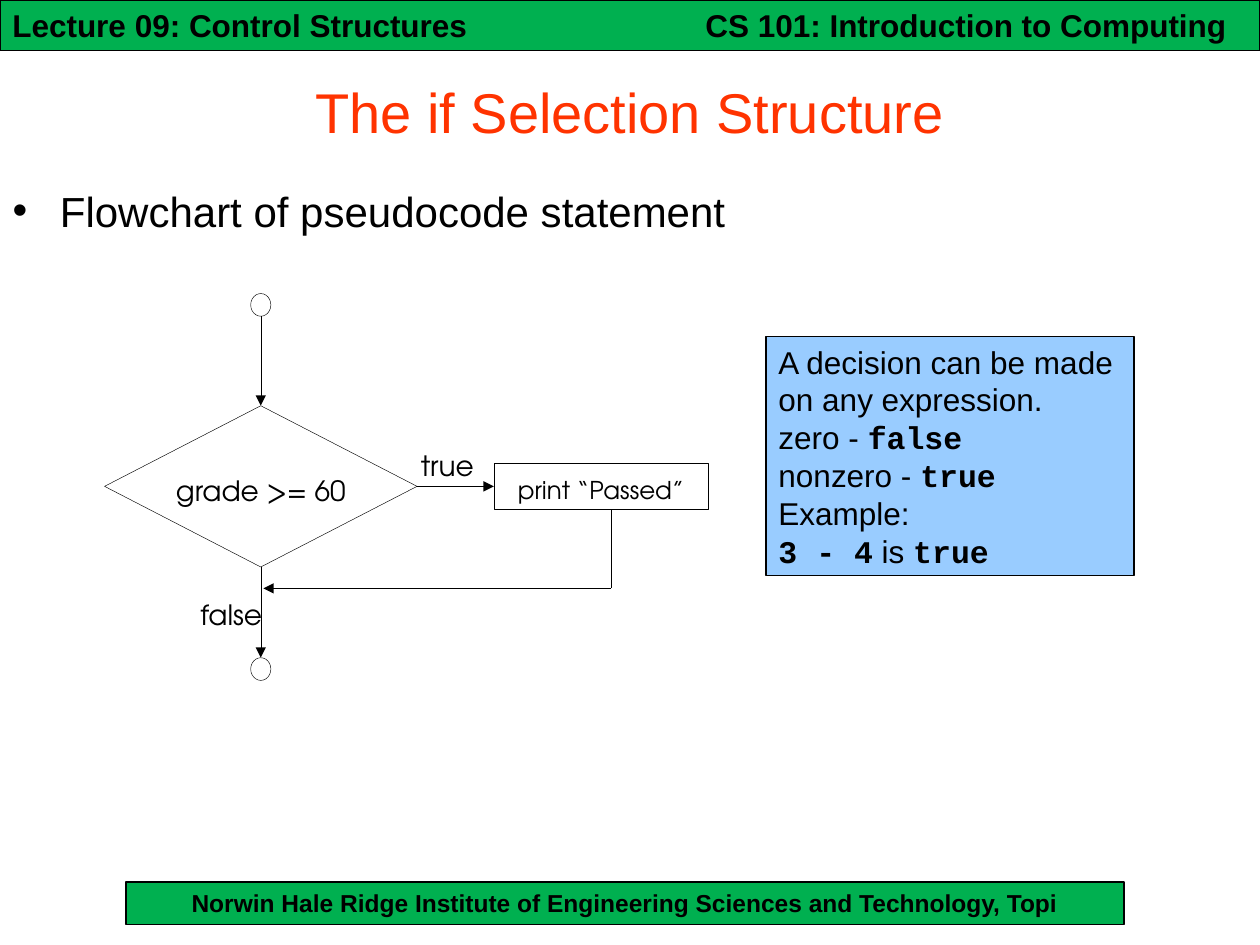
from dataclasses import dataclass

from lxml import etree
from pptx import Presentation
from pptx import util as u
from pptx.dml.color import RGBColor
from pptx.enum import shapes, text
from pptx.oxml import ns

Inches, Pt = u.Inches, u.Pt
PP, MSO = text.PP_ALIGN, text.MSO_ANCHOR
SHAPE = shapes.MSO_SHAPE


@dataclass(frozen=True)
class Theme:
    ink: str = "000000"
    bar: str = "00B050"
    title: str = "FF3300"
    note: str = "99CCFF"
    paper: str = "FFFFFF"
    font: str = "Arial"
    code: str = "Courier New"
    flow: str = "TeX Gyre Adventor"
    title_size: int = 32
    body_size: int = 24
    bar_size: int = 18
    label_size: int = 16
    small_size: int = 14
    border: float = 0.75
    thin: float = 0.25


T = Theme()


def write(tf, paras, size=T.bar_size, font=T.font, color=T.ink, bold=False,
          align=None, anchor=None, wrap=True, before=None, margins=None):
    tf.word_wrap = wrap
    tf.auto_size = text.MSO_AUTO_SIZE.NONE
    if anchor is not None:
        tf.vertical_anchor = anchor
    if margins is not None:
        tf.margin_left, tf.margin_top, tf.margin_right, tf.margin_bottom = map(Inches, margins)
    for i, runs in enumerate(paras):
        p = tf.add_paragraph() if i else tf.paragraphs[0]
        p.alignment = align
        if before is not None:
            p.space_before = Pt(before)
        for words, is_code in runs:
            r = p.add_run()
            r.text = words
            r.font.size = Pt(size)
            r.font.name = T.code if is_code else font
            r.font.bold = bold or is_code
            r.font.color.rgb = RGBColor.from_string(color)


def plain(words):
    return [[(words, False)]]


def place(sp, box):
    sp.left, sp.top, sp.width, sp.height = map(Inches, box)


def add_box(s, kind, box, fill=None, width=T.border):
    sp = s.shapes.add_shape(kind, *map(Inches, box))
    sp.shadow.inherit = False
    if fill:
        sp.fill.solid()
        sp.fill.fore_color.rgb = RGBColor.from_string(fill)
    else:
        sp.fill.background()
    sp.line.color.rgb = RGBColor.from_string(T.ink)
    sp.line.width = Pt(width)
    return sp


def add_label(s, box, words, **fmt):
    sp = s.shapes.add_textbox(*map(Inches, box))
    write(sp.text_frame, plain(words), **fmt)


def add_line(s, start, end, begin=None, finish=None, arrow=True):
    cx = s.shapes.add_connector(shapes.MSO_CONNECTOR.STRAIGHT, *map(Inches, start + end))
    if begin:
        cx.begin_connect(*begin)
    if finish:
        cx.end_connect(*finish)
    cx.line.color.rgb = RGBColor.from_string(T.ink)
    cx.line.width = Pt(T.thin)
    if arrow:
        etree.SubElement(cx.line._get_or_add_ln(), ns.qn("a:tailEnd"), type="triangle")
    etree.SubElement(cx._element.spPr, ns.qn("a:effectLst"))


def header(s, box, lecture, course):
    x, y, w, h = box
    bar = add_box(s, SHAPE.RECTANGLE, box, T.bar)
    write(bar.text_frame, plain(lecture), bold=True, align=PP.LEFT, anchor=MSO.TOP)
    add_label(s, (x + 0.55 * w, y, 0.45 * w, h), course, bold=True)


def footer(s, box, words):
    bar = add_box(s, SHAPE.RECTANGLE, box, T.bar)
    write(bar.text_frame, plain(words), size=T.small_size, bold=True,
          align=PP.CENTER, anchor=MSO.TOP)


def heading(s, box, words):
    place(s.shapes.title, box)
    write(s.shapes.title.text_frame, plain(words), size=T.title_size,
          color=T.title, align=PP.CENTER, anchor=MSO.MIDDLE)


def bullets(s, box, items):
    sp = s.placeholders[1]
    place(sp, box)
    write(sp.text_frame, [[(item, False)] for item in items], size=T.body_size, before=6)


def flowchart(s, box):
    x, y, w, h = box
    dw, dh, cw, ch = 2.48, 1.28, 0.16, 0.18
    mid, top = x + dw / 2, y + 0.89
    axis, bottom = top + dh / 2, top + dh
    join = bottom + 0.17
    rx, rw, rh = x + 3.09, w - 3.09, 0.36
    drop = rx + 0.93

    decision = add_box(s, SHAPE.DIAMOND, (x, top, dw, dh), T.paper, T.thin)
    action = add_box(s, SHAPE.RECTANGLE, (rx, axis - rh / 2, rw, rh), width=T.thin)
    for sp, words, size in ((decision, "grade >= 60", T.label_size),
                            (action, "print “Passed”", T.small_size)):
        write(sp.text_frame, plain(words), size=size, font=T.flow, wrap=False,
              align=PP.CENTER, anchor=MSO.MIDDLE, margins=(0, 0.06, 0, 0))
    add_box(s, SHAPE.OVAL, (mid - cw / 2, y, cw, ch), width=T.thin)
    end = add_box(s, SHAPE.OVAL, (mid - cw / 2, y + h - ch, cw, ch), width=T.thin)

    add_line(s, (mid, y + ch), (mid, top), finish=(decision, 0))
    add_line(s, (mid, bottom), (mid, y + h - ch), (decision, 2), (end, 0))
    add_line(s, (x + dw, axis), (rx, axis), (decision, 3), (action, 1))
    add_line(s, (drop, axis + rh / 2), (drop, join), arrow=False)
    add_line(s, (drop, join), (mid + 0.02, join))

    for dx, dy, words in ((2.51, 1.23, "true"), (0.76, 2.41, "false")):
        add_label(s, (x + dx, y + dy, 0.6, 0.36), words, size=T.label_size,
                  font=T.flow, wrap=False, margins=(0, 0, 0, 0))


def note(s, box, paras):
    sp = add_box(s, SHAPE.RECTANGLE, box, T.note)
    write(sp.text_frame, paras, align=PP.LEFT, anchor=MSO.TOP)


def main():
    prs = Presentation()
    prs.slide_width, prs.slide_height = Inches(10), Inches(7.5)
    s = prs.slides.add_slide(prs.slide_layouts[1])
    footer(s, (1, 7, 7.92, 0.34),
           "Norwin Hale Ridge Institute of Engineering Sciences and Technology, Topi")
    header(s, (0, 0, 10, 0.4), "Lecture 09: Control Structures",
           "CS 101: Introduction to Computing")
    heading(s, (0, 0.42, 10, 0.92), "The if Selection Structure")
    bullets(s, (0, 1.42, 10, 5.58), ["Flowchart of pseudocode statement"])
    flowchart(s, (0.83, 2.33, 4.79, 3.07))
    note(s, (6.08, 2.67, 2.92, 1.9), [
        [("A decision can be made on any expression.", False)],
        [("zero - ", False), ("false", True)],
        [("nonzero - ", False), ("true", True)],
        [("Example:", False)],
        [("3 - 4", True), (" is ", False), ("true", True)],
    ])
    prs.save("out.pptx")


if __name__ == "__main__":
    main()
